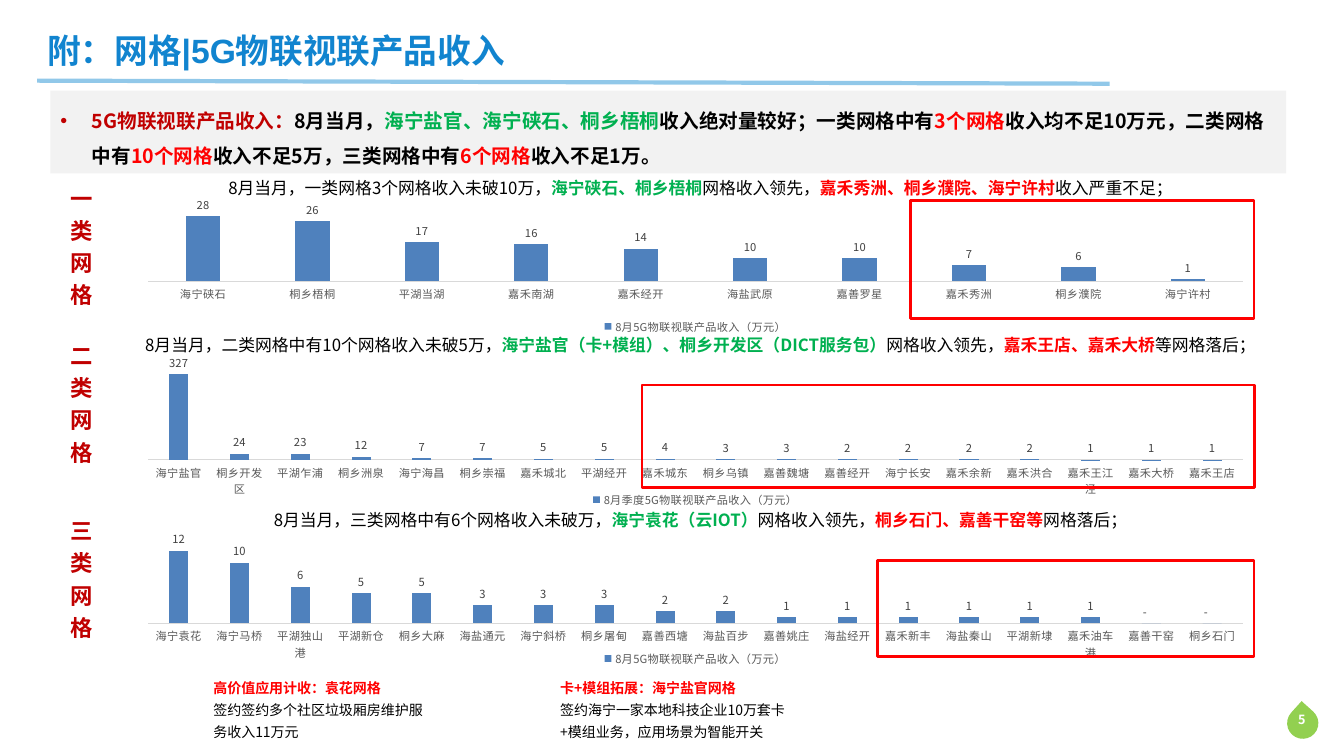
from dataclasses import dataclass
from typing import NamedTuple

from lxml.etree import SubElement
from pptx import Presentation
from pptx.chart.data import CategoryChartData
from pptx.dml.color import RGBColor
from pptx.enum.chart import XL_CHART_TYPE, XL_LABEL_POSITION, XL_LEGEND_POSITION, XL_TICK_LABEL_POSITION, XL_TICK_MARK
from pptx.enum.shapes import MSO_CONNECTOR, MSO_SHAPE
from pptx.enum.text import MSO_ANCHOR, MSO_AUTO_SIZE, PP_ALIGN
from pptx.oxml import parse_xml
from pptx.oxml.ns import nsdecls, qn
from pptx.util import Pt

FONT = "Noto Sans CJK SC"
BLACK, RED, GREEN, DARK_RED, WHITE = "000000", "FF0000", "00B050", "C00000", "FFFFFF"
NUMBER_FORMAT = '_ * #,##0_ ;_ * \\-#,##0_ ;_ * "-"??_ ;_ '


class Box(NamedTuple):
    left: float
    top: float
    width: float
    height: float

    def lengths(self) -> list[Pt]:
        return [Pt(value) for value in self]


class Phrase(NamedTuple):
    text: str
    color: str = BLACK
    bold: bool = False


@dataclass
class GridClass:
    label: str
    top: float
    caption: list[Phrase]
    series: str
    revenue: dict[str, int]
    axis_max: int
    chart_height: float
    plot_height: float
    laggards: Box


@dataclass
class CaseNote:
    box: Box
    heading: str
    detail: str


GRID_CLASSES = [
    GridClass(
        "一类网格", 120.2,
        [Phrase("8月当月，一类网格3个网格收入未破10万，"), Phrase("海宁硖石、桐乡梧桐", GREEN, True),
         Phrase("网格收入领先，"), Phrase("嘉禾秀洲、桐乡濮院、海宁许村", RED, True), Phrase("收入严重不足；")],
        "8月5G物联视联产品收入（万元）",
        {"海宁硖石": 28, "桐乡梧桐": 26, "平湖当湖": 17, "嘉禾南湖": 16, "嘉禾经开": 14,
         "海盐武原": 10, "嘉善罗星": 10, "嘉禾秀洲": 7, "桐乡濮院": 6, "海宁许村": 1},
        30, 101.5, 0.513, Box(650.2, 143.3, 245.5, 84.2)),
    GridClass(
        "二类网格", 232.6,
        [Phrase("8月当月，二类网格中有10个网格收入未破5万，"),
         Phrase("海宁盐官（卡+模组）、桐乡开发区（DICT服务包）", GREEN, True),
         Phrase("网格收入领先，"), Phrase("嘉禾王店、嘉禾大桥", RED, True), Phrase("等网格落后；")],
        "8月季度5G物联视联产品收入（万元）",
        {"海宁盐官": 327, "桐乡开发区": 24, "平湖乍浦": 23, "桐乡洲泉": 12, "海宁海昌": 7, "桐乡崇福": 7,
         "嘉禾城北": 5, "平湖经开": 5, "嘉禾城东": 4, "桐乡乌镇": 3, "嘉善魏塘": 3, "嘉善经开": 2,
         "海宁长安": 2, "嘉禾余新": 2, "嘉禾洪合": 2, "嘉禾王江泾": 1, "嘉禾大桥": 1, "嘉禾王店": 1},
        350, 113, 0.596, Box(458.6, 275, 437.8, 73.4)),
    GridClass(
        "三类网格", 357.8,
        [Phrase("8月当月，三类网格中有6个网格收入未破万，"), Phrase("海宁袁花（云IOT）", GREEN, True),
         Phrase("网格收入领先，"), Phrase("桐乡石门、嘉善干窑等", RED, True), Phrase("网格落后；")],
        "8月5G物联视联产品收入（万元）",
        {"海宁袁花": 12, "海宁马桥": 10, "平湖独山港": 6, "平湖新仓": 5, "桐乡大麻": 5, "海盐通元": 3,
         "海宁斜桥": 3, "桐乡屠甸": 3, "嘉善西塘": 2, "海盐百步": 2, "嘉善姚庄": 1, "海盐经开": 1,
         "嘉禾新丰": 1, "海盐秦山": 1, "平湖新埭": 1, "嘉禾油车港": 1, "嘉善干窑": 0, "桐乡石门": 0},
        14, 101.5, 0.596, Box(627.1, 400.3, 268.6, 68.4)),
]
SUMMARY = [
    Phrase("5G物联视联产品收入：", DARK_RED, True), Phrase("8月当月，", BLACK, True),
    Phrase("海宁盐官、海宁硖石、桐乡梧桐", GREEN, True), Phrase("收入绝对量较好；一类网格中有", BLACK, True),
    Phrase("3个网格", RED, True), Phrase("收入均不足10万元，二类网格中有", BLACK, True),
    Phrase("10个网格", RED, True), Phrase("收入不足5万，三类网格中有", BLACK, True),
    Phrase("6个网格", RED, True), Phrase("收入不足1万。", BLACK, True),
]
CASE_NOTES = [
    CaseNote(Box(145.4, 473.8, 169.9, 62.6), "高价值应用计收：袁花网格", "签约签约多个社区垃圾厢房维护服务收入11万元"),
    CaseNote(Box(393.1, 473.8, 187.2, 62.6), "卡+模组拓展：海宁盐官网格",
             "签约海宁一家本地科技企业10万套卡+模组业务，应用场景为智能开关"),
]


def rgb(color: str) -> RGBColor:
    return RGBColor.from_string(color)


def style_font(font, size: float, color: str, bold: bool = False, name: str = FONT) -> None:
    font.name, font.size, font.bold = name, Pt(size), bold
    font.color.rgb = rgb(color)


def set_east_asian_font(root) -> None:
    """Give every Latin typeface below root a matching East Asian one."""
    for latin in list(root.iter(qn("a:latin"))):
        latin.addnext(parse_xml(f'<a:ea {nsdecls("a")} typeface="{FONT}"/>'))


def write(frame, paragraphs: list[list[Phrase]], size: float, spacing: float = 1.0,
          align: PP_ALIGN = PP_ALIGN.LEFT, anchor: MSO_ANCHOR = MSO_ANCHOR.MIDDLE, font_name: str = FONT) -> None:
    frame.word_wrap = True
    frame.auto_size = MSO_AUTO_SIZE.NONE
    frame.vertical_anchor = anchor
    for index, phrases in enumerate(paragraphs):
        paragraph = frame.paragraphs[0] if index == 0 else frame.add_paragraph()
        paragraph.alignment = align
        paragraph.line_spacing = spacing
        for phrase in phrases:
            run = paragraph.add_run()
            run.text = phrase.text
            style_font(run.font, size, phrase.color, phrase.bold, font_name)


def add_text(slide, box: Box, paragraphs: list[list[Phrase]], size: float, **layout) -> None:
    write(slide.shapes.add_textbox(*box.lengths()).text_frame, paragraphs, size, **layout)


def add_block(slide, kind: MSO_SHAPE, box: Box, fill: str = "", line: str = ""):
    block = slide.shapes.add_shape(kind, *box.lengths())
    block.shadow.inherit = False
    if fill:
        block.fill.solid()
        block.fill.fore_color.rgb = rgb(fill)
    else:
        block.fill.background()
    if line:
        block.line.color.rgb = rgb(line)
        block.line.width = Pt(2)
    else:
        block.line.fill.background()
    return block


def add_revenue_chart(slide, grid: GridClass) -> None:
    data = CategoryChartData(number_format=NUMBER_FORMAT)
    data.categories = list(grid.revenue)
    data.add_series(grid.series, list(grid.revenue.values()))
    box = Box(82.8, grid.top + 20, 828, grid.chart_height)
    chart = slide.shapes.add_chart(XL_CHART_TYPE.COLUMN_CLUSTERED, *box.lengths(), data).chart
    style_font(chart.font, 8, BLACK)
    chart.has_title = False
    chart.has_legend = True
    chart.legend.position = XL_LEGEND_POSITION.BOTTOM
    chart.legend.include_in_layout = False
    style_font(chart.legend.font, 8, "595959")

    names, amounts = chart.category_axis, chart.value_axis
    names.major_tick_mark = amounts.major_tick_mark = XL_TICK_MARK.NONE
    names.format.line.color.rgb = rgb("D9D9D9")
    names.format.line.width = Pt(0.75)
    style_font(names.tick_labels.font, 8, "595959")
    amounts.has_major_gridlines = False
    amounts.tick_label_position = XL_TICK_LABEL_POSITION.NONE
    amounts.format.line.fill.background()
    amounts.minimum_scale, amounts.maximum_scale = 0, grid.axis_max

    plot = chart.plots[0]
    plot.gap_width, plot.overlap, plot.vary_by_categories = 219, -27, False
    columns = plot.series[0].format.fill
    columns.solid()
    columns.fore_color.rgb = rgb("4F81BD")
    plot.has_data_labels = True
    labels = plot.data_labels
    labels.show_value = True
    labels.position = XL_LABEL_POSITION.OUTSIDE_END
    labels.number_format, labels.number_format_is_linked = NUMBER_FORMAT, False
    style_font(labels.font, 8, "404040")

    area = chart.element.find(".//" + qn("c:plotArea"))
    for old in area.findall(qn("c:layout")):
        area.remove(old)
    settings = {"layoutTarget": "inner", "xMode": "edge", "yMode": "edge",
                "x": 0.028, "y": 0.069, "w": 0.944, "h": grid.plot_height}
    layout = parse_xml(f'<c:layout {nsdecls("c")}><c:manualLayout/></c:layout>')
    for tag, value in settings.items():
        SubElement(layout[0], qn(f"c:{tag}")).set("val", str(value))
    area.insert(0, layout)
    set_east_asian_font(chart.element)


def add_summary(slide) -> None:
    banner = add_block(slide, MSO_SHAPE.RECTANGLE, Box(36, 64.8, 882.7, 59), fill="F2F2F2")
    write(banner.text_frame, [SUMMARY], 14, spacing=1.5)
    properties = banner.text_frame.paragraphs[0]._p.get_or_add_pPr()
    properties.set("marL", str(Pt(22.5)))
    properties.set("indent", str(Pt(-22.5)))
    SubElement(properties, qn("a:buFont")).set("typeface", "Arial")
    SubElement(properties, qn("a:buChar")).set("char", "•")


def add_title(slide) -> None:
    title = slide.shapes.title
    title.left, title.top, title.width, title.height = Box(26.6, 18, 797.8, 36).lengths()
    write(title.text_frame, [[Phrase("附：网格|5G物联视联产品收入", "1184CF", True)]], 24, font_name="Arial")
    rule = slide.shapes.add_connector(MSO_CONNECTOR.STRAIGHT, Pt(26.6), Pt(57.6), Pt(792.7), Pt(59.8))
    rule.line.color.rgb = rgb("91C8E9")
    rule.line.width = Pt(3)
    SubElement(rule._element.spPr, qn("a:effectLst"))


def main() -> None:
    deck = Presentation()
    deck.slide_width, deck.slide_height = Pt(960), Pt(540)
    slide = deck.slides.add_slide(deck.slide_layouts[5])
    add_block(slide, MSO_SHAPE.TEAR, Box(919.4, 505.4, 22.3, 22.3), fill="92D050").rotation = 311.9
    add_text(slide, Box(913.7, 504.7, 32.4, 33.1), [[Phrase("5", WHITE, True)]], 9,
             align=PP_ALIGN.CENTER, anchor=MSO_ANCHOR.TOP)
    add_title(slide)
    for grid in GRID_CLASSES:
        add_revenue_chart(slide, grid)
    for grid in GRID_CLASSES:
        add_text(slide, Box(43.2, grid.top + 15.5, 25.9, 77), [[Phrase(grid.label, DARK_RED, True)]], 16, spacing=1.2)
        add_text(slide, Box(82.8, grid.top, 835.2, 24.5), [grid.caption], 12, spacing=1.2, align=PP_ALIGN.CENTER)
        add_block(slide, MSO_SHAPE.RECTANGLE, grid.laggards, line=RED)
    add_summary(slide)
    for note in CASE_NOTES:
        add_text(slide, note.box, [[Phrase(note.heading, RED, True)], [Phrase(note.detail)]], 10, spacing=1.3)
    set_east_asian_font(slide.element)
    deck.save("out.pptx")


if __name__ == "__main__":
    main()
